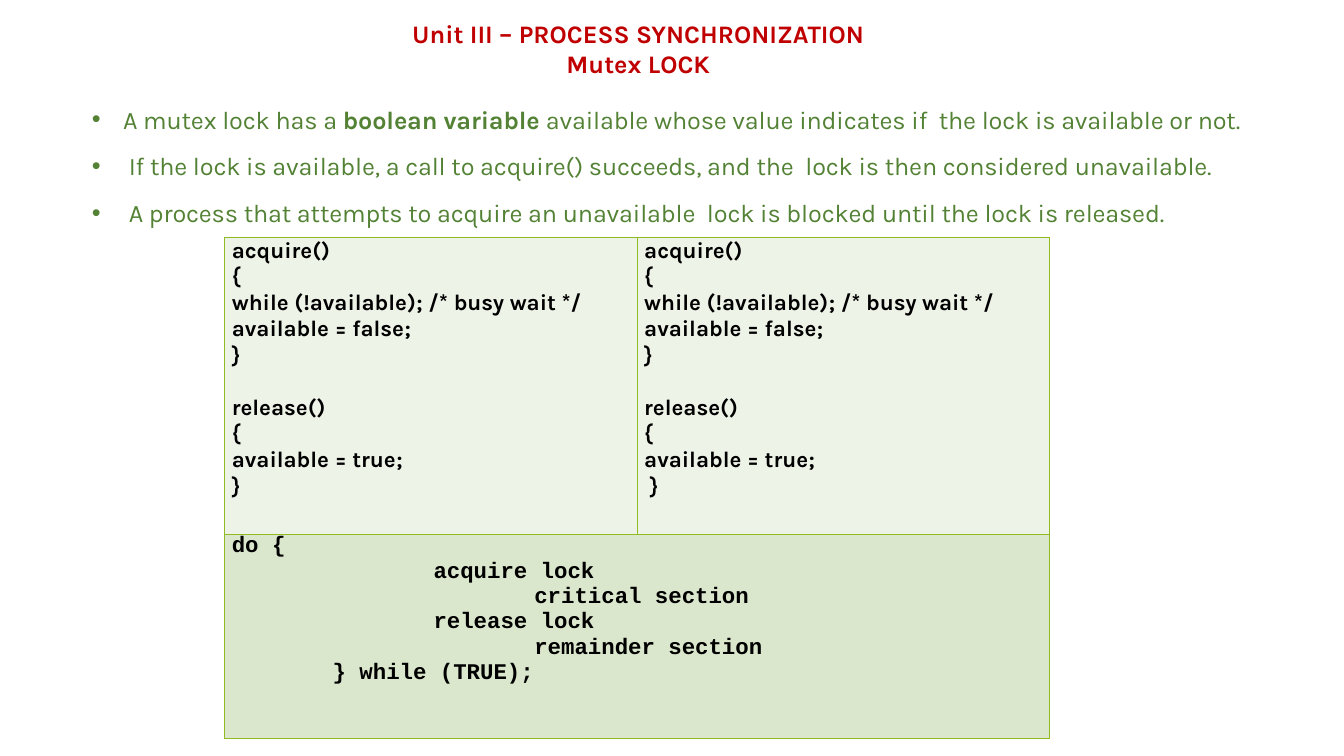
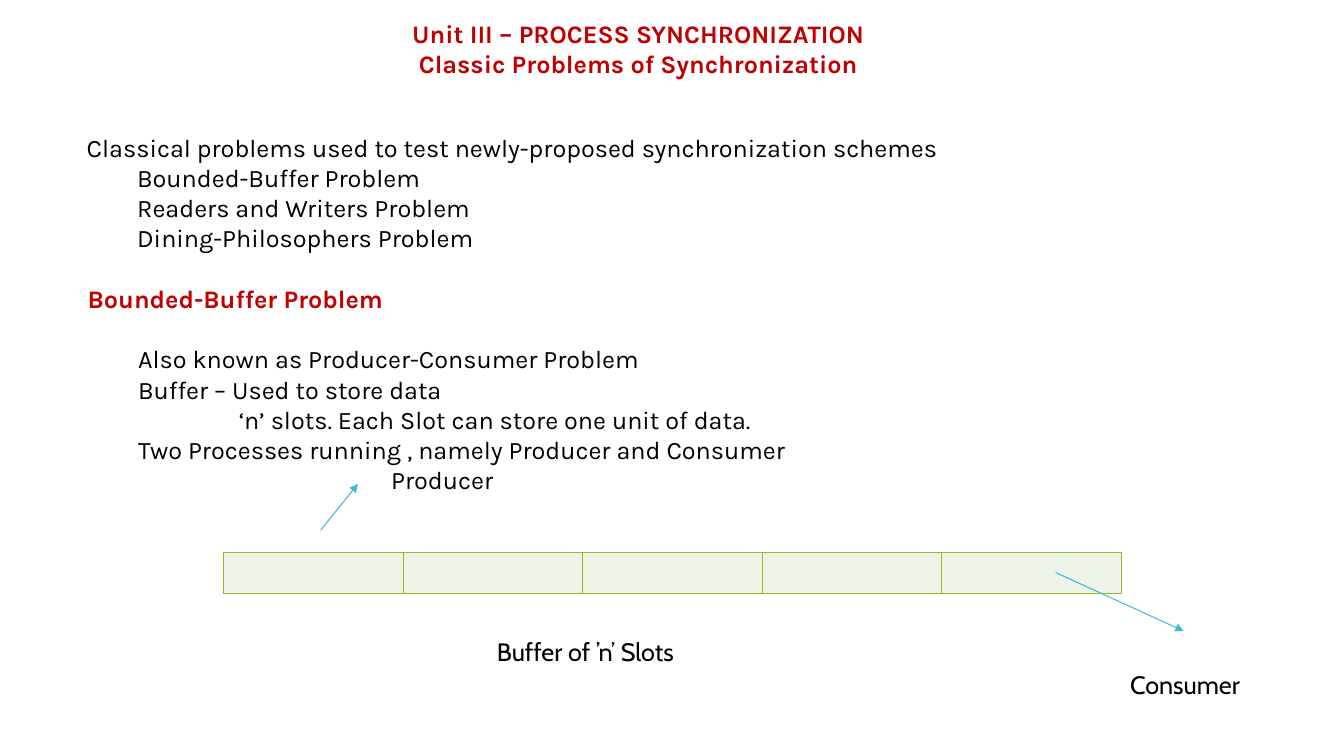
from dataclasses import dataclass

from lxml import etree
from pptx import Presentation
from pptx.dml.color import RGBColor
from pptx.enum import shapes, text
from pptx.oxml.ns import qn
from pptx.util import Inches, Pt


@dataclass(frozen=True)
class Theme:
    red: str = "C00000"
    green: str = "538235"
    black: str = "000000"
    arrow: str = "40BAD2"
    border: str = "90BB23"
    light: str = "EEF3E8"
    mid: str = "DBE7CD"
    body_font: str = "Karla"
    label_font: str = "Cabin"
    code_font: str = "Courier New"
    body_size: float = 18
    code_size: float = 16
    body_gap: float = 21.6   # one line of body text
    code_gap: float = 18.7   # one line of code


T = Theme()

UNIT = "Unit III – PROCESS SYNCHRONIZATION"

# Each bullet is a list of (text, bold) parts
MUTEX_BULLETS = [
    [("A mutex lock has a ", False), ("boolean variable ", True),
     ("available whose value indicates if  the lock is available or not.", False)],
    [(" If the lock is available, a call to acquire() succeeds, and the  lock is "
      "then considered unavailable.", False)],
    [(" A process that attempts to acquire an unavailable  lock is blocked until "
      "the lock is released.", False)],
]
ACQUIRE = ["acquire()", "{", "while (!available); /* busy wait */",
           "available = false;", "}"]
RELEASE = ["release()", "{", "available = true;"]
LOCK_CODE = [ACQUIRE + RELEASE + ["}"], ACQUIRE + RELEASE + [" }"]]
# (text, indent in inches)
LOOP_CODE = [("do {", 0), ("acquire lock", 2), ("critical section", 3),
             ("release lock", 2), ("remainder section", 3), ("} while (TRUE);", 1)]
# (text, indent in inches, is a heading)
PROBLEMS = [
    ("Classical problems used to test newly-proposed synchronization schemes", 0, False),
    ("Bounded-Buffer Problem", 0.5, False),
    ("Readers and Writers Problem", 0.5, False),
    ("Dining-Philosophers Problem", 0.5, False),
    ("Bounded-Buffer Problem", 0.01, True),
    ("Also known as Producer-Consumer Problem", 0.51, False),
    ("Buffer – Used to store data", 0.51, False),
    ("‘n’ slots. Each Slot can store one unit of data.", 1.51, False),
    ("Two Processes running , namely Producer and Consumer", 0.51, False),
    ("Producer", 3.02, False),
]
SLOTS = 5
ARROWS = [((3.18, 5.26), (3.55, 4.8)), ((10.47, 5.68), (11.74, 6.26))]
LABELS = [("Consumer", (11.11, 6.59, 1.49, 0.4)),
          ("Buffer of ’n’ Slots", (4.83, 6.26, 3.74, 0.4))]


def rgb(color):
    return RGBColor.from_string(color)


def inches(values):
    return [Inches(v) for v in values]


def style(p, size=T.body_size, font=T.body_font, color=T.black, bold=False):
    p.font.size = Pt(size)
    p.font.name = font
    p.font.color.rgb = rgb(color)
    p.font.bold = bold


def indent(p, left, first=0):
    pPr = p._p.get_or_add_pPr()
    pPr.set("marL", str(Inches(left)))
    pPr.set("indent", str(Inches(first)))
    return pPr


def paragraphs(tf, items):
    """Yield one paragraph of the frame with each item."""
    for i, item in enumerate(items):
        yield (tf.paragraphs[0] if i == 0 else tf.add_paragraph()), item


def place(sp, box):
    sp.left, sp.top, sp.width, sp.height = inches(box)
    tf = sp.text_frame
    tf.word_wrap = True
    tf.auto_size = text.MSO_AUTO_SIZE.NONE
    tf.vertical_anchor = text.MSO_ANCHOR.TOP
    return tf


def new_slide(prs, topic, body_box):
    """Add a slide with the shared title; return it with its body frame."""
    s = prs.slides.add_slide(prs.slide_layouts[1])
    tf = place(s.shapes.title, (1.74, 0.13, 9.18, 0.71))
    for p, line in paragraphs(tf, [UNIT, topic]):
        p.text = line
        p.alignment = text.PP_ALIGN.CENTER
        style(p, color=T.red, bold=True)
    return s, place(s.placeholders[1], body_box)


def add_grid(s, left, top, cols, rows, fills):
    """Add a bordered table with one fill colour per row."""
    frame = s.shapes.add_table(len(rows), len(cols),
                               *inches((left, top, sum(cols), sum(rows))))
    table = frame.table
    table.first_row = table.horz_banding = False
    for col, width in zip(table.columns, cols):
        col.width = Inches(width)
    for row, height, fill in zip(table.rows, rows, fills):
        row.height = Inches(height)
        for cell in row.cells:
            cell.margin_left = cell.margin_right = Inches(0.07)
            cell.margin_top = cell.margin_bottom = 0
            cell.fill.solid()
            cell.fill.fore_color.rgb = rgb(fill)
            add_borders(cell)
    return table


def add_borders(cell):
    tcPr = cell._tc.get_or_add_tcPr()
    for i, side in enumerate(("lnL", "lnR", "lnT", "lnB")):
        ln = etree.Element(qn(f"a:{side}"), w=str(Pt(1)))
        fill = etree.SubElement(ln, qn("a:solidFill"))
        etree.SubElement(fill, qn("a:srgbClr"), val=T.border)
        tcPr.insert(i, ln)


def add_arrow(s, start, end):
    c = s.shapes.add_connector(shapes.MSO_CONNECTOR.STRAIGHT, *inches(start + end))
    c.line.color.rgb = rgb(T.arrow)
    c.line.width = Pt(0.75)
    etree.SubElement(c.line._get_or_add_ln(), qn("a:tailEnd"), type="triangle")
    etree.SubElement(c._element.spPr, qn("a:effectLst"))


def add_label(s, label, box):
    tf = place(s.shapes.add_textbox(*inches(box)), box)
    tf.text = label
    style(tf.paragraphs[0], font=T.label_font)


def mutex_slide(prs):
    s, body = new_slide(prs, "Mutex LOCK", (0.79, 0.83, 11.75, 1.83))
    for p, parts in paragraphs(body, MUTEX_BULLETS):
        indent(p, 0.33, -0.31)
        p.alignment = text.PP_ALIGN.JUSTIFY
        p.line_spacing = 1.5
        p.space_before = Pt(1.1)
        style(p, color=T.green)
        for part, bold in parts:
            r = p.add_run()
            r.text = part
            r.font.bold = bold
            r.font._element.set("spc", "-10")

    table = add_grid(s, 2.23, 2.36, [4.09] * 2, [2.94, 2.03], [T.light, T.mid])
    table.cell(1, 0).merge(table.cell(1, 1))
    for col, code in enumerate(LOCK_CODE):
        for p, line in paragraphs(table.cell(0, col).text_frame, code):
            p.text = line
            if line == RELEASE[0]:
                p.space_before = Pt(T.code_gap)
            style(p, T.code_size, bold=True)
    for p, (line, left) in paragraphs(table.cell(1, 0).text_frame, LOOP_CODE):
        p.text = line
        indent(p, left)
        style(p, T.code_size, T.code_font, bold=True)


def problems_slide(prs):
    s, body = new_slide(prs, "Classic Problems of Synchronization",
                        (0.76, 1.26, 11.13, 3.71))
    for p, (line, left, heading) in paragraphs(body, PROBLEMS):
        p.text = line
        etree.SubElement(indent(p, left), qn("a:buNone"))
        p.space_before = Pt(T.body_gap if heading else 0)
        p.space_after = Pt(T.body_gap if heading else 0)
        style(p, color=T.red if heading else T.black, bold=heading)

    add_grid(s, 2.22, 5.48, [1.78] * SLOTS, [0.41], [T.light])
    for start, end in ARROWS:
        add_arrow(s, start, end)
    for label, box in LABELS:
        add_label(s, label, box)


def main():
    prs = Presentation()
    prs.slide_width, prs.slide_height = inches((13.33, 7.5))
    mutex_slide(prs)
    problems_slide(prs)
    prs.save("out.pptx")


if __name__ == "__main__":
    main()
